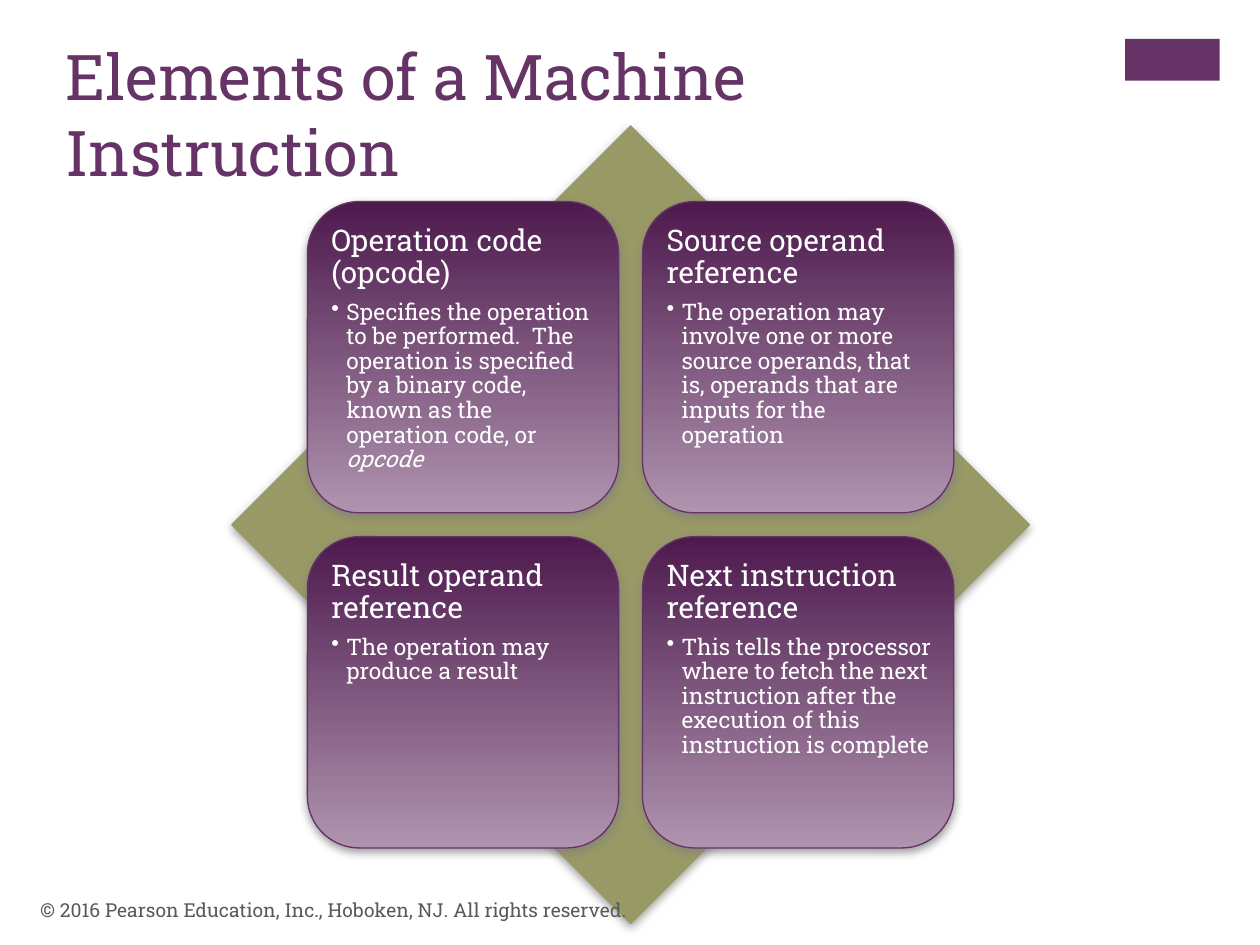
from lxml.etree import SubElement
from pptx import Presentation
from pptx.dml.color import RGBColor
from pptx.enum.shapes import MSO_SHAPE as Preset
from pptx.enum.text import MSO_ANCHOR as Anchor, MSO_AUTO_SIZE as AutoSize, PP_ALIGN as Align
from pptx.oxml.ns import qn
from pptx.util import Inches, Pt

FONT = "Roboto Slab"
COLORS = {
    "purple": "663366", "olive": "999966", "dark": "4D1A4D", "light": "AF94AF",
    "white": "FFFFFF", "gray": "595959", "shadow": "808080",
}
GRID_LEFT, GRID_TOP, GRID_STEP = 2.44, 1.6, 2.66
CARD_SIZE, CARD_PADDING = 2.47, 0.12
CARDS = [
    ("Operation code (opcode)",
     [("Specifies the operation to be performed.  The operation is specified by a binary code, "
       "known as the operation code, or ", False), ("opcode", True)]),
    ("Source operand reference",
     [("The operation may involve one or more source operands, that is, operands that are "
       "inputs for the operation", False)]),
    ("Result operand reference", [("The operation may produce a result", False)]),
    ("Next instruction reference",
     [("This tells the processor where to fetch the next instruction after the execution of "
       "this instruction is complete", False)]),
]


def color(name):
    """Return the named colour."""
    return RGBColor.from_string(COLORS[name])


def add_run(paragraph, text, size, color_name, italic=False):
    """Add one formatted run to a paragraph."""
    run = paragraph.add_run()
    run.text = text
    run.font.name = FONT
    run.font.size = Pt(size)
    run.font.italic = italic
    run.font.color.rgb = color(color_name)


def add_block(slide, preset, box, fill, line=None):
    """Add a preset shape with a flat fill and an optional outline."""
    shape = slide.shapes.add_shape(preset, *map(Inches, box))
    shape.shadow.inherit = False
    shape.fill.solid()
    shape.fill.fore_color.rgb = color(fill)
    if line:
        shape.line.color.rgb = color(line)
        shape.line.width = Pt(0.75)
    else:
        shape.line.fill.background()
    return shape


def add_shadow(shape):
    """Give a shape a soft shadow that falls straight down."""
    effects = shape._element.spPr.find(qn("a:effectLst"))
    shadow = SubElement(effects, qn("a:outerShdw"), blurRad=str(Pt(5)), dist=str(Pt(2)),
                        dir="5400000", rotWithShape="0")
    tint = SubElement(shadow, qn("a:srgbClr"), val=COLORS["shadow"])
    SubElement(tint, qn("a:alpha"), val="75000")


def add_text_frame(slide, box, inset=None):
    """Add a wrapping text box and return its text frame."""
    frame = slide.shapes.add_textbox(*map(Inches, box)).text_frame
    frame.word_wrap = True
    if inset is not None:
        frame.margin_left = frame.margin_right = Inches(inset)
        frame.margin_top = frame.margin_bottom = Inches(inset)
    return frame


def make_bullet(paragraph):
    """Turn a paragraph into a bullet with a hanging indent."""
    properties = paragraph._p.get_or_add_pPr()
    properties.set("marL", str(Inches(0.12)))
    properties.set("indent", str(Inches(-0.12)))
    SubElement(properties, qn("a:buChar"), char="•")


def add_card(slide, column, row, heading, detail):
    """Add one gradient card with its heading and bullet."""
    left, top = GRID_LEFT + column * GRID_STEP, GRID_TOP + row * GRID_STEP
    card = add_block(slide, Preset.ROUNDED_RECTANGLE, (left, top, CARD_SIZE, CARD_SIZE),
                     "dark", "purple")
    card.fill.gradient()
    card.fill.gradient_angle = 270
    for stop, name, position in zip(card.fill.gradient_stops, ("dark", "light"), (0, 1)):
        stop.color.rgb = color(name)
        stop.position = position
    add_shadow(card)

    text_size = CARD_SIZE - 2 * CARD_PADDING + 0.01
    frame = add_text_frame(
        slide, (left + CARD_PADDING, top + CARD_PADDING, text_size, text_size), 0.07)
    title, bullet = frame.paragraphs[0], frame.add_paragraph()
    make_bullet(bullet)
    for paragraph, space in ((title, 6), (bullet, 2)):
        paragraph.line_spacing = 0.9
        paragraph.space_after = Pt(space)
    bullet.level = 1
    add_run(title, heading, 17, "white")
    for text, italic in detail:
        add_run(bullet, text, 13, "white", italic)


def add_title(slide, text):
    """Place and fill the title placeholder."""
    title = slide.shapes.title
    title.left, title.top, title.width, title.height = map(Inches, (0.42, 0.25, 8.26, 1.22))
    frame = title.text_frame
    frame.auto_size = AutoSize.NONE
    frame.vertical_anchor = Anchor.TOP
    frame.paragraphs[0].alignment = Align.LEFT
    add_run(frame.paragraphs[0], text, 36, "purple")


def add_footer(slide, text):
    """Add the copyright line at the bottom."""
    frame = add_text_frame(slide, (0.22, 7.02, 6.7, 0.4))
    frame.vertical_anchor = Anchor.MIDDLE
    add_run(frame.paragraphs[0], text, 11, "gray")


def main():
    """Build the slide and save it."""
    presentation = Presentation()
    presentation.slide_width, presentation.slide_height = Inches(10), Inches(7.5)
    slide = presentation.slides.add_slide(presentation.slide_layouts[5])
    add_block(slide, Preset.RECTANGLE, (8.93, 0.31, 0.75, 0.33), "purple")
    add_title(slide, "Elements of a Machine Instruction")
    add_shadow(add_block(slide, Preset.DIAMOND, (1.84, 1, 6.33, 6.33), "olive", "olive"))
    for index, (heading, detail) in enumerate(CARDS):
        row, column = divmod(index, 2)
        add_card(slide, column, row, heading, detail)
    add_footer(slide, "© 2016 Pearson Education, Inc., Hoboken, NJ. All rights reserved.")
    presentation.save("out.pptx")


if __name__ == "__main__":
    main()
